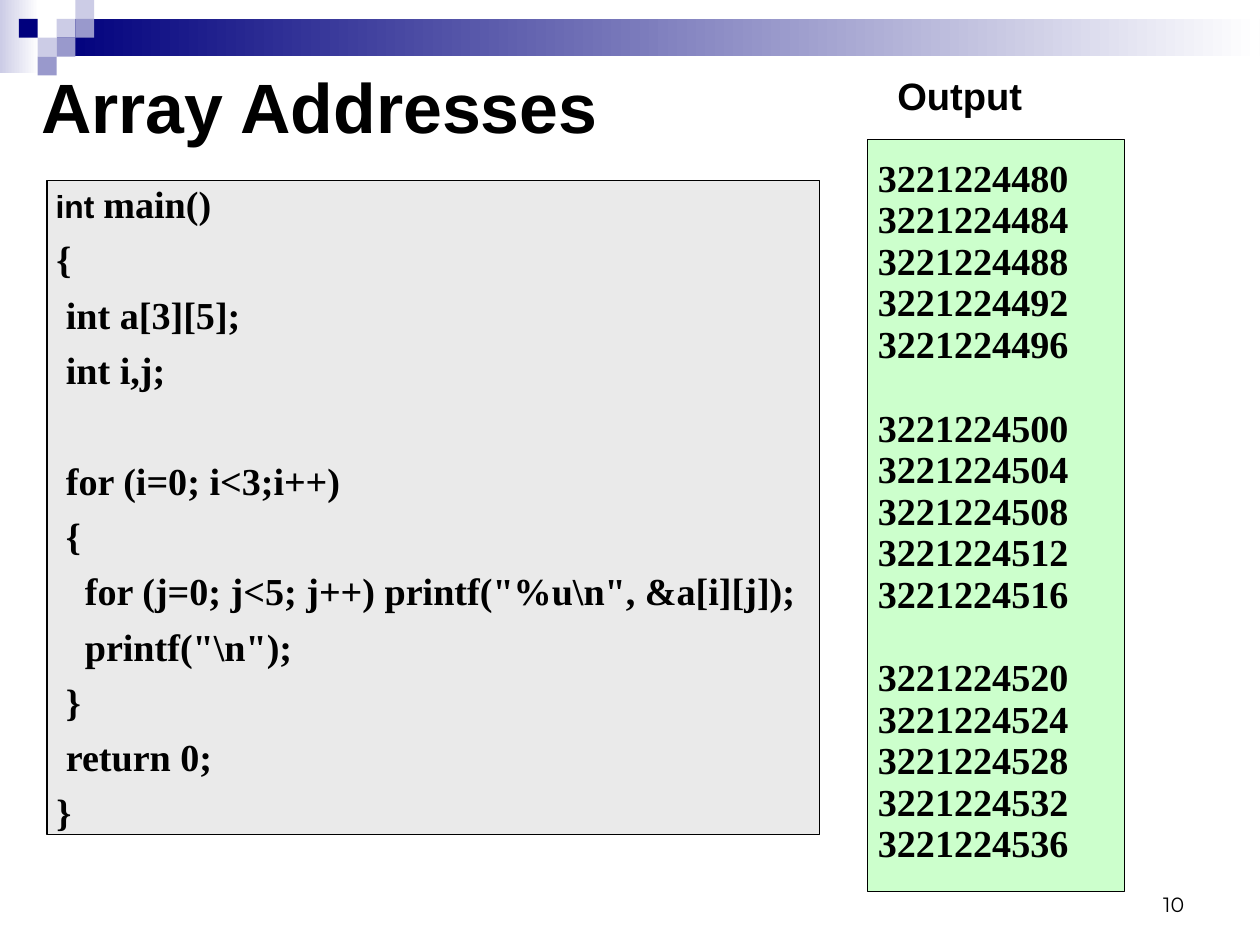
"""Build the Array Addresses slide with its code and output panels."""
from dataclasses import dataclass

from pptx import Presentation
from pptx.dml.color import RGBColor
from pptx.enum.shapes import MSO_SHAPE as SHAPE
from pptx.enum.text import MSO_ANCHOR as ANCHOR, PP_ALIGN as ALIGN
from pptx.util import Inches, Pt

NAVY, LILAC, VIOLET = "00007D", "CCCCE6", "9999CC"
BLACK, WHITE = "000000", "FFFFFF"
SANS, SERIF = "Arial", "Times New Roman"
CELL = 0.165
CM_PER_INCH = 2.54

CODE = r'''
 int main()
 {
  int a[3][5];
  int i,j;

  for (i=0; i<3;i++)
  {
    for (j=0; j<5; j++) printf("%u\n", &a[i][j]);
    printf("\n");
  }
  return 0;
 }
'''.strip("\n")
BASE, ROWS, COLS, INT_SIZE = 3221224480, 3, 5, 4
OUTPUT = "\n\n".join(
    "\n".join(str(BASE + INT_SIZE * (COLS * i + j)) for j in range(COLS))
    for i in range(ROWS))


@dataclass
class Box:
    x: float
    y: float
    w: float
    h: float


@dataclass
class Square:
    col: int
    row: int
    color: str


@dataclass
class Panel:
    box: Box
    color: str
    text: str
    anchor: ANCHOR
    inset: tuple
    blank: float
    spacing: float = 1.0
    gap: float = 6


SQUARES = [Square(3, 1, LILAC), Square(4, 0, LILAC), Square(4, 1, VIOLET),
           Square(2, 2, LILAC), Square(1, 1, NAVY), Square(3, 2, VIOLET),
           Square(2, 3, VIOLET)]
BANDS = [(Box(0, 0, 0.34, 0.64), LILAC), (Box(0.5, 0.17, 10.52, 0.32), NAVY)]
PANELS = [
    Panel(Box(0.41, 1.58, 6.76, 5.72), "EAEAEA", CODE, ANCHOR.TOP,
          (0, 0), 41),
    Panel(Box(7.59, 1.22, 2.25, 6.58), "CCFFCC", OUTPUT, ANCHOR.MIDDLE,
          (0.09, 0), 32.5, 0.7),
]


def rgb(color: str) -> RGBColor:
    """Turn a hex string into a colour."""
    return RGBColor.from_string(color)


def add_rect(s, box: Box, color: str, fade: bool = False, line: bool = False):
    """Add a rectangle, plain or fading to white."""
    sp = s.shapes.add_shape(SHAPE.RECTANGLE, Inches(box.x), Inches(box.y),
                            Inches(box.w), Inches(box.h))
    sp.shadow.inherit = False
    if fade:
        sp.fill.gradient()
        sp.fill.gradient_angle = 0
        for stop, hue, pos in zip(sp.fill.gradient_stops, (color, WHITE), (0, 1)):
            stop.color.rgb = rgb(hue)
            stop.position = pos
    else:
        sp.fill.solid()
        sp.fill.fore_color.rgb = rgb(color)
    if line:
        sp.line.color.rgb = rgb(BLACK)
        sp.line.width = Pt(1)
    else:
        sp.line.fill.background()
    return sp


def add_run(p, text: str, *, font: str = SANS, size: float = 24, bold: bool = True):
    """Add a black run to a paragraph."""
    r = p.add_run()
    r.text = text
    r.font.name, r.font.size, r.font.bold = font, Pt(size), bold
    r.font.color.rgb = rgb(BLACK)


def set_frame(tf, anchor: ANCHOR, left: float, top: float,
              right: float = 0, bottom: float = 0):
    """Set the wrapping, anchor and margins of a text frame."""
    tf.word_wrap = True
    tf.vertical_anchor = anchor
    tf.margin_left, tf.margin_top = Inches(left), Inches(top)
    tf.margin_right, tf.margin_bottom = Inches(right), Inches(bottom)


def add_text(s, box: Box, text: str, *, anchor: ANCHOR = ANCHOR.TOP,
             align: ALIGN = ALIGN.LEFT, inset: tuple = (0, 0), **style):
    """Add a one-line text box."""
    sp = s.shapes.add_textbox(Inches(box.x), Inches(box.y),
                              Inches(box.w), Inches(box.h))
    set_frame(sp.text_frame, anchor, *inset, *inset)
    p = sp.text_frame.paragraphs[0]
    p.alignment = align
    add_run(p, text, **style)


def add_panel(s, panel: Panel):
    """Add an outlined panel, with a wider gap for each empty line."""
    tf = add_rect(s, panel.box, panel.color, line=True).text_frame
    set_frame(tf, panel.anchor, *panel.inset)
    p, gap = None, 0
    for text in panel.text.split("\n"):
        if not text:
            gap = panel.blank
            continue
        p = tf.add_paragraph() if p else tf.paragraphs[0]
        p.alignment = ALIGN.LEFT
        p.line_spacing = panel.spacing
        p.space_before = Pt(gap)
        gap = panel.gap
        if text.endswith("main()"):
            add_run(p, text.removesuffix("main()"), size=20)
            text = "main()"
        add_run(p, text, font=SERIF)


def main():
    """Draw the slide and save it."""
    prs = Presentation()
    prs.slide_width = Inches(28 / CM_PER_INCH)
    prs.slide_height = Inches(21 / CM_PER_INCH)
    s = prs.slides.add_slide(prs.slide_layouts[6])
    for box, color in BANDS:
        add_rect(s, box, color, fade=True)
    for sq in SQUARES:
        add_rect(s, Box(sq.col * CELL, sq.row * CELL, CELL, CELL), sq.color)
    add_text(s, Box(7.9, 7.53, 2.57, 0.55), "10", anchor=ANCHOR.BOTTOM,
             align=ALIGN.RIGHT, inset=(0.11, 0.06), font="Montserrat",
             size=13, bold=False)
    add_text(s, Box(0.25, 0.5, 10.41, 0.84), "Array Addresses",
             anchor=ANCHOR.MIDDLE, inset=(0.11, 0.06), size=44)
    for panel in PANELS:
        add_panel(s, panel)
    add_text(s, Box(7.85, 0.63, 1.58, 0.4), "Output")
    prs.save("out.pptx")


if __name__ == "__main__":
    main()
